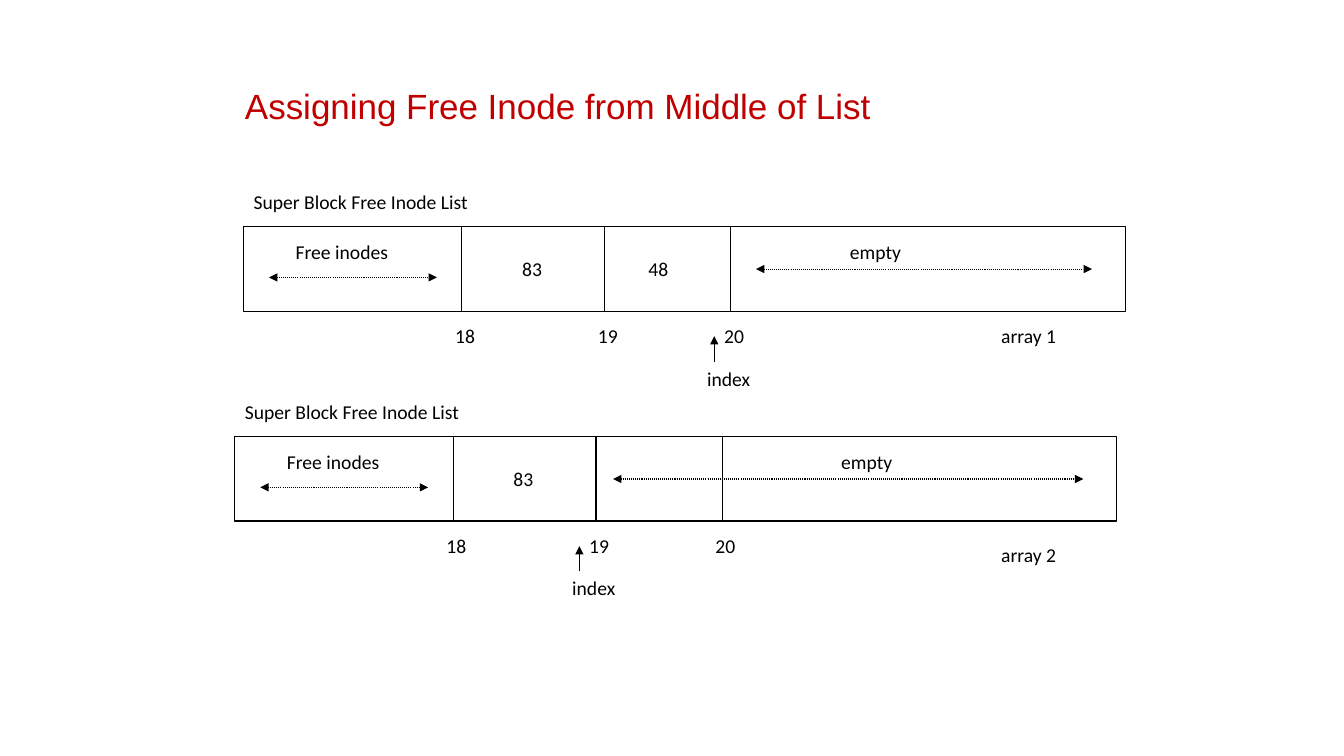
from lxml.etree import SubElement
from pptx import Presentation
from pptx.dml.color import RGBColor
from pptx.enum.dml import MSO_LINE
from pptx.enum.shapes import MSO_CONNECTOR, MSO_SHAPE
from pptx.enum.text import MSO_ANCHOR, MSO_AUTO_SIZE, PP_ALIGN
from pptx.oxml.ns import qn
from pptx.util import Cm, Pt

BLACK, RED = "000000", "C00000"

# Array geometry in cm, measured from the top left corner of each array
ARRAY_W, ARRAY_H = 22.23, 2.12
DIVIDERS = {18: 5.5, 19: 9.1, 20: 12.28}
ARROW_END = 21.38


def rgb(value):
    return RGBColor.from_string(value)


def write(tf, text, size, name, color):
    p = tf.paragraphs[0]
    p.alignment = PP_ALIGN.LEFT
    r = p.add_run()
    r.text = text
    for key, value in {"size": Pt(size), "name": name}.items():
        setattr(r.font, key, value)
    r.font.color.rgb = rgb(color)


def add_title(s, text):
    sp = s.shapes.title
    place = {"left": Cm(5.92), "top": Cm(1.06), "width": Cm(21.59), "height": Cm(3.18)}
    for key, value in place.items():
        setattr(sp, key, value)
    sp.text_frame.vertical_anchor = MSO_ANCHOR.MIDDLE
    write(sp.text_frame, text, 25, "Arial", RED)


def add_label(s, text, x, y, w=3.39):
    tf = s.shapes.add_textbox(Cm(x), Cm(y), Cm(w), Cm(0.85)).text_frame
    tf.word_wrap = True
    tf.auto_size = MSO_AUTO_SIZE.SHAPE_TO_FIT_TEXT
    write(tf, text, 14, "Calibri", BLACK)


def add_box(s, x, y):
    sp = s.shapes.add_shape(MSO_SHAPE.RECTANGLE, Cm(x), Cm(y), Cm(ARRAY_W), Cm(ARRAY_H))
    sp.shadow.inherit = False
    sp.fill.background()
    sp.line.color.rgb = rgb(BLACK)
    sp.line.width = Pt(0.75)


def add_line(s, x1, y1, x2, y2, arrows=(), dotted=False):
    line = s.shapes.add_connector(MSO_CONNECTOR.STRAIGHT, Cm(x1), Cm(y1), Cm(x2), Cm(y2))
    line.line.color.rgb = rgb(BLACK)
    line.line.width = Pt(0.75)
    if dotted:
        line.line.dash_style = MSO_LINE.ROUND_DOT
    for end in arrows:
        SubElement(line.line._get_or_add_ln(), qn(f"a:{end}"), type="triangle")
    SubElement(line._element.spPr, qn("a:effectLst"))


def add_span(s, x1, x2, y):
    add_line(s, x1, y, x2, y, ("headEnd", "tailEnd"), dotted=True)


def add_array(s, x, y, values, index, empty_start, name, name_at):
    # Frame, heading and dividers with their numbers
    add_box(s, x, y)
    add_label(s, "Super Block Free Inode List", x, y - 1.06, 9.95)
    for number, dx in DIVIDERS.items():
        add_line(s, x + dx, y, x + dx, y + ARRAY_H)
        add_label(s, str(number), x + dx - 0.42, y + 2.33)

    # Cell contents
    add_label(s, "Free inodes", x + 1.06, y + 0.21)
    add_span(s, x + 0.64, x + 4.87, y + 1.27)
    for value, dx in values.items():
        add_label(s, value, x + dx, y + 0.64)
    add_label(s, "empty", x + 15.03, y + 0.21)
    add_span(s, x + empty_start, x + ARROW_END, y + 1.06)

    # Index pointer and array name
    pointer = x + DIVIDERS[index] - 0.42
    add_line(s, pointer, y + 3.39, pointer, y + 2.75, ("tailEnd",))
    add_label(s, "index", pointer - 0.43, y + 3.39)
    add_label(s, name, *name_at)


def main():
    prs = Presentation()
    prs.slide_width, prs.slide_height = Cm(33.87), Cm(19.05)
    s = prs.slides.add_slide(prs.slide_layouts[5])
    add_title(s, "Assigning Free Inode from Middle of List")
    add_array(s, 6.14, 5.72, {"83": 6.77, "48": 9.95}, 20, 12.91,
              "array 1", (24.98, 8.05))
    add_array(s, 5.92, 11.01, {"83": 6.77}, 19, 9.53,
              "array 2", (24.98, 13.55))
    prs.save("out.pptx")


if __name__ == "__main__":
    main()
